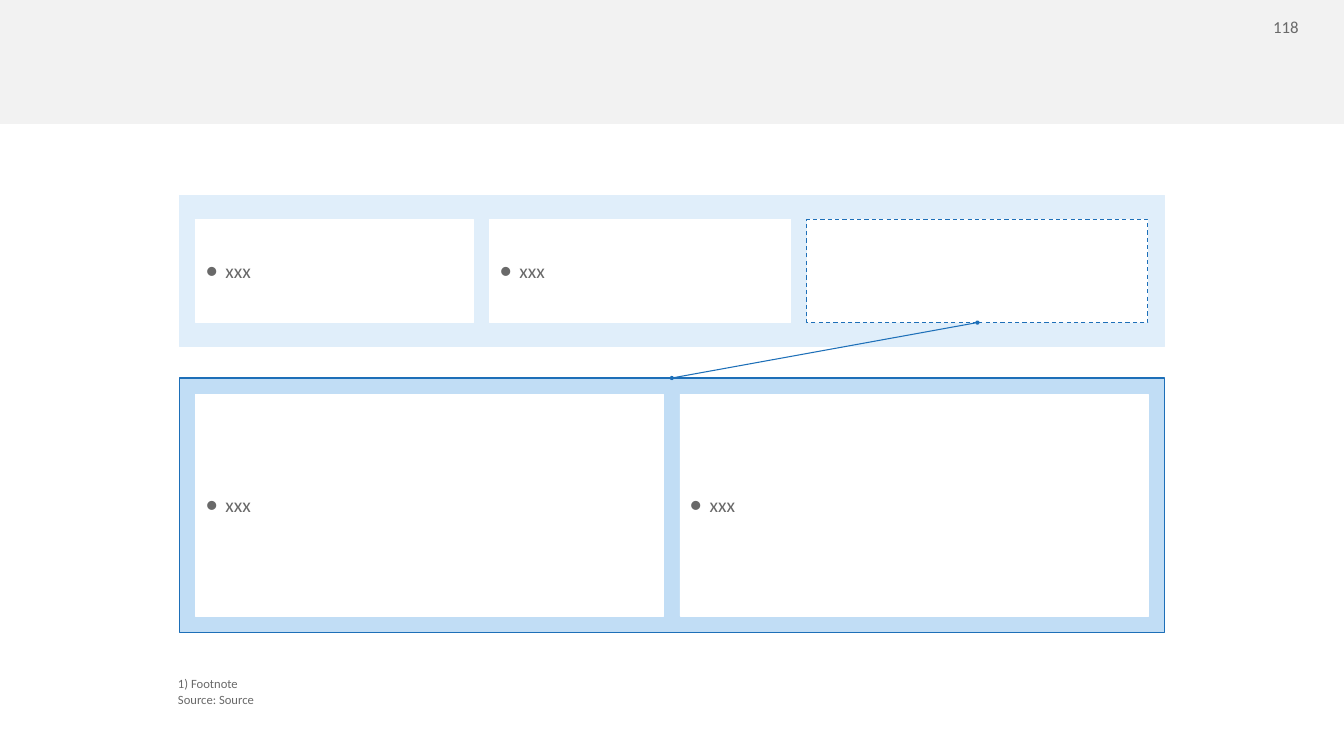
from pptx import Presentation
from pptx.dml.color import RGBColor
from pptx.enum.dml import MSO_LINE
from pptx.enum.shapes import MSO_CONNECTOR, MSO_SHAPE
from pptx.enum.text import MSO_ANCHOR as Anchor, PP_ALIGN as Align
from pptx.oxml.ns import qn
from pptx.util import Pt
from lxml import etree

WIDTH, HEIGHT = 1919.52, 1080
FONT = "Calibri"
GREY = RGBColor(0x69, 0x69, 0x69)
HEADER_GREY = RGBColor(0xF2, 0xF2, 0xF2)
WHITE = RGBColor(0xFF, 0xFF, 0xFF)
PALE_BLUE = RGBColor(0xE0, 0xEE, 0xFA)
LIGHT_BLUE = RGBColor(0xC1, 0xDD, 0xF5)
BLUE = RGBColor(0x1D, 0x6F, 0xB8)
GAP = 23
INDENT = 28


def add_bullet(paragraph):
    props = paragraph._p.get_or_add_pPr()
    props.set("marL", str(Pt(INDENT)))
    props.set("indent", str(-Pt(INDENT)))
    colour = etree.SubElement(props, qn("a:buClr"))
    etree.SubElement(colour, qn("a:srgbClr"), val=str(GREY))
    etree.SubElement(props, qn("a:buFont"), typeface=FONT)
    etree.SubElement(props, qn("a:buChar"), char="●")


def write(frame, text, size=28, align=Align.LEFT, anchor=Anchor.TOP, bullet=False):
    frame.word_wrap = True
    frame.vertical_anchor = anchor
    frame.margin_left = frame.margin_right = Pt(14.4)
    frame.margin_top = frame.margin_bottom = Pt(7.2)
    frame.text = text
    for paragraph in frame.paragraphs:
        paragraph.alignment = align
        if bullet:
            add_bullet(paragraph)
        for run in paragraph.runs:
            run.font.name = FONT
            run.font.size = Pt(size)
            run.font.color.rgb = GREY


def add_box(slide, box, fill, line=None, weight=1, dash=None):
    rect = slide.shapes.add_shape(MSO_SHAPE.RECTANGLE, *map(Pt, box))
    rect.shadow.inherit = False
    rect.fill.solid()
    rect.fill.fore_color.rgb = fill
    if line is None:
        rect.line.fill.background()
    else:
        rect.line.color.rgb = line
        rect.line.width = Pt(weight)
        rect.line.dash_style = dash
    return rect


def add_text(slide, box, text, **style):
    write(slide.shapes.add_textbox(*map(Pt, box)).text_frame, text, **style)


def add_header(slide, box):
    left, top, width, height = box
    add_box(slide, box, HEADER_GREY)
    add_text(slide, (left + width - 142.5, top + 17, 92, 44), "118",
             size=24, align=Align.RIGHT)


def card_boxes(box, pad_top, widths):
    left, top, _, height = box
    left += GAP
    for width in widths:
        yield left, top + pad_top, width, height - 2 * pad_top
        left += width + GAP


def add_card(slide, box, text):
    card = add_box(slide, box, WHITE, WHITE)
    write(card.text_frame, text, anchor=Anchor.MIDDLE, bullet=True)


def add_overview(slide, box):
    add_box(slide, box, PALE_BLUE, PALE_BLUE)
    *filled, focus = card_boxes(box, 33.7, (397, 430, 487))
    for card in filled:
        add_card(slide, card, "xxx")
    return add_box(slide, focus, WHITE, BLUE, 1.5, MSO_LINE.DASH)


def add_detail(slide, box):
    panel = add_box(slide, box, LIGHT_BLUE, BLUE, 1.5)
    card_width = (box[2] - 3 * GAP) / 2
    for card in card_boxes(box, GAP, [card_width] * 2):
        add_card(slide, card, "xxx")
    return panel


def add_link(slide, focus, panel):
    link = slide.shapes.add_connector(MSO_CONNECTOR.STRAIGHT, 0, 0, 0, 0)
    link.begin_connect(focus, 2)
    link.end_connect(panel, 0)
    link.line.color.rgb = BLUE
    link.line.width = Pt(1.5)
    outline = link.line._get_or_add_ln()
    for end in ("a:headEnd", "a:tailEnd"):
        etree.SubElement(outline, qn(end), type="oval")
    etree.SubElement(link._element.spPr, qn("a:effectLst"))


def add_footnote(slide, box):
    add_text(slide, box, "1) Footnote\nSource: Source", size=18, anchor=Anchor.BOTTOM)


def main():
    deck = Presentation()
    deck.slide_width, deck.slide_height = Pt(WIDTH), Pt(HEIGHT)
    slide = deck.slides.add_slide(deck.slide_layouts[6])
    add_header(slide, (0, 0, WIDTH, 177))
    focus = add_overview(slide, (256.5, 279.5, 1406, 215))
    panel = add_detail(slide, (256.5, 540, 1406, 363))
    add_link(slide, focus, panel)
    add_footnote(slide, (239.8, 958.3, 1438.6, 58.3))
    deck.save("out.pptx")


if __name__ == "__main__":
    main()
